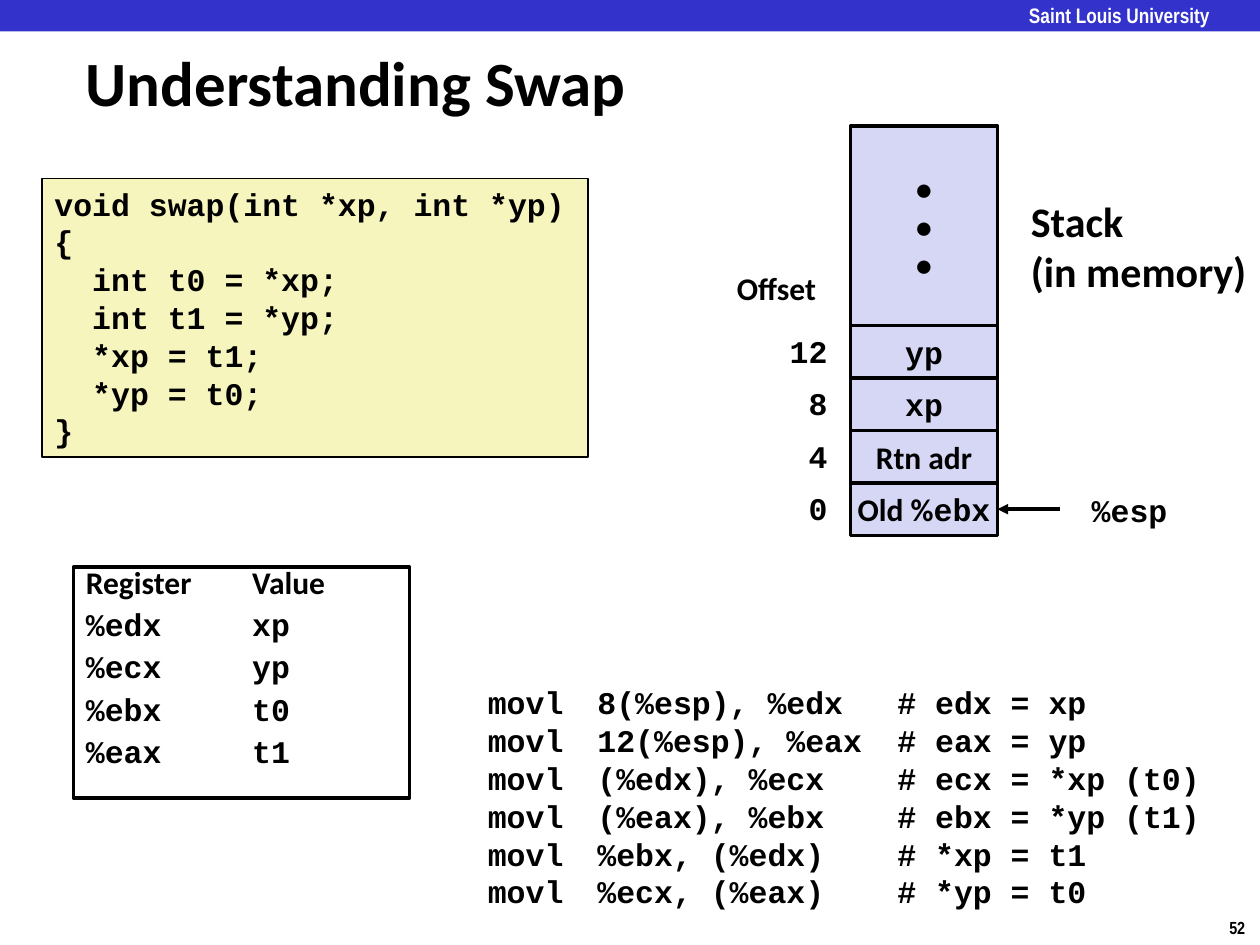
from lxml import etree
from pptx import Presentation, util as u
from pptx.dml.color import RGBColor
from pptx.enum import shapes, text
from pptx.oxml.ns import qn

BLACK = RGBColor(0x00, 0x00, 0x00)
WHITE = RGBColor(0xFF, 0xFF, 0xFF)
BLUE = RGBColor(0x33, 0x33, 0xCC)
CREAM = RGBColor(0xF6, 0xF5, 0xBD)
LILAC = RGBColor(0xD6, 0xD6, 0xF5)
SANS, MONO, NARROW = "Calibri", "Courier New", "Arial Narrow"
LEFT, CENTER, RIGHT = text.PP_ALIGN.LEFT, text.PP_ALIGN.CENTER, text.PP_ALIGN.RIGHT
TOP, MIDDLE = text.MSO_ANCHOR.TOP, text.MSO_ANCHOR.MIDDLE

prs = Presentation()
prs.slide_width, prs.slide_height = u.Inches(10), u.Inches(7.5)
s = prs.slides.add_slide(prs.slide_layouts[6])
COL = prs.slide_width / 120
ROW = prs.slide_height / 90


def add_rect(x, y, w, h, fill=None, line=None):
    """Rectangle in grid units; fill and line width (pt) are optional."""
    sp = s.shapes.add_shape(shapes.MSO_SHAPE.RECTANGLE, int(x * COL), int(y * ROW),
                            int(w * COL), int(h * ROW))
    sp.shadow.inherit = False
    if fill is None:
        sp.fill.background()
    else:
        sp.fill.solid()
        sp.fill.fore_color.rgb = fill
    if line is None:
        sp.line.fill.background()
    else:
        sp.line.color.rgb = BLACK
        sp.line.width = u.Pt(line)
    return sp


def write(sp, lines, size=18, color=BLACK, align=LEFT, anchor=TOP, wrap=False, tabs=()):
    """Fill a shape with lines, each a list of (text, font) runs; tabs in inches."""
    tf = sp.text_frame
    tf.word_wrap = wrap
    tf.vertical_anchor = anchor
    for i, runs in enumerate(lines):
        p = tf.paragraphs[0] if i == 0 else tf.add_paragraph()
        p.alignment = align
        if tabs:
            tab_list = etree.SubElement(p._p.get_or_add_pPr(), qn("a:tabLst"))
            for pos in tabs:
                etree.SubElement(tab_list, qn("a:tab"), pos=str(u.Inches(pos)), algn="l")
        for words, font in runs:
            r = p.add_run()
            r.text = words
            r.font.name = font
            r.font.size = u.Pt(size)
            r.font.bold = True
            r.font.color.rgb = color
    return tf


# Header band, title and page number
add_rect(0, 0, 120, 3, BLUE)
tf = write(add_rect(98, 0.25, 20, 2.25), [[("Saint Louis University", NARROW)]], 12, WHITE)
tf.margin_left = tf.margin_right = tf.margin_top = tf.margin_bottom = 0
write(add_rect(7, 4, 84, 7.5), [[("Understanding Swap", SANS)]], 36, anchor=MIDDLE, wrap=True)
write(add_rect(115.9, 86.7, 4.1, 3.2), [[("52", NARROW)]], 10)

# C source
SWAP_CODE = """void swap(int *xp, int *yp)
{
  int t0 = *xp;
  int t1 = *yp;
  *xp = t1;
  *yp = t0;
}"""
write(add_rect(4, 17, 52, 26.5, CREAM, 1),
      [[(line, MONO)] for line in SWAP_CODE.split("\n")], wrap=True)

# Register assignments
registers = [("%edx", "xp"), ("%ecx", "yp"), ("%ebx", "t0"), ("%eax", "t1")]
tf = write(add_rect(7, 54, 32, 22, line=2),
           [[("Register\tValue", SANS)]] + [[(f"{reg}\t{val}", MONO)] for reg, val in registers],
           wrap=True, tabs=[1.32])
for i, p in enumerate(tf.paragraphs):
    p.line_spacing = 0.7
    if i:
        p.space_before = u.Pt(9)

# Stack
STACK_X, STACK_W, FIRST_SLOT, SLOT_H = 81, 14, 31, 5
slots = [
    ("12", [("yp", MONO)]),
    ("8", [("xp", MONO)]),
    ("4", [("Rtn adr", SANS)]),
    ("0", [("Old %", SANS), ("ebx", MONO)]),
]
for i, (offset, runs) in enumerate(slots):
    y = FIRST_SLOT + i * SLOT_H
    slot = add_rect(STACK_X, y, STACK_W, SLOT_H, LILAC, 2)
    write(slot, [runs], align=CENTER, anchor=MIDDLE)
    write(add_rect(74, y, 6, SLOT_H), [[(offset, MONO)]], align=RIGHT)
write(add_rect(STACK_X, 12, STACK_W, FIRST_SLOT - 12, LILAC, 2),
      [[("•", SANS)]] * 3, align=CENTER, anchor=MIDDLE)
write(add_rect(69, 25, 10, 5), [[("Offset", SANS)]])
write(add_rect(97, 18, 23, 11), [[("Stack", SANS)], [("(in memory)", SANS)]], 24)

# Stack pointer, aimed at the last slot
pointer_y = int((FIRST_SLOT + 3.5 * SLOT_H) * ROW)
arrow = s.shapes.add_connector(shapes.MSO_CONNECTOR.STRAIGHT, int(101 * COL), pointer_y,
                               int(95 * COL), pointer_y)
arrow.end_connect(slot, 3)
arrow.line.color.rgb = BLACK
arrow.line.width = u.Pt(2)
etree.SubElement(arrow.line._get_or_add_ln(), qn("a:tailEnd"), type="triangle")
etree.SubElement(arrow._element.spPr, qn("a:effectLst"))
write(add_rect(102.8, 46.2, 9.6, 4.8), [[("%esp", MONO)]])

# Assembly
assembly = [
    ("8(%esp), %edx", "edx = xp"),
    ("12(%esp), %eax", "eax = yp"),
    ("(%edx), %ecx", "ecx = *xp (t0)"),
    ("(%eax), %ebx", "ebx = *yp (t1)"),
    ("%ebx, (%edx)", "*xp = t1"),
    ("%ecx, (%eax)", "*yp = t0"),
]
write(add_rect(40, 64.5, 78, 23),
      [[(f"\tmovl\t{args}\t# {note}", MONO)] for args, note in assembly],
      wrap=True, tabs=[0.44, 1.31, 3.69])

prs.save("out.pptx")
